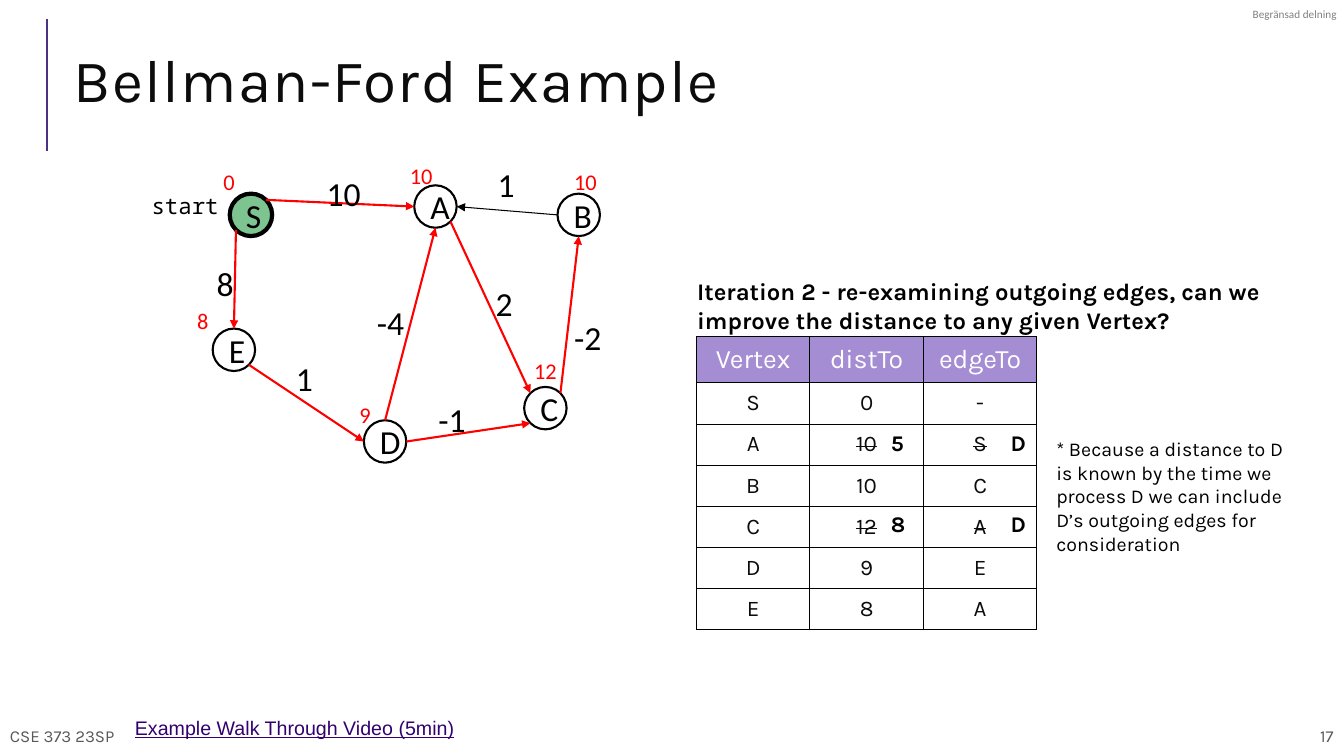
from math import cos, radians, sin

from lxml.etree import SubElement
from pptx import Presentation
from pptx.dml.color import RGBColor
from pptx.enum.shapes import MSO_CONNECTOR as Conn, MSO_SHAPE as Form
from pptx.enum.text import MSO_ANCHOR as Anchor, PP_ALIGN as Align
from pptx.oxml import parse_xml
from pptx.oxml.ns import nsdecls, qn
from pptx.util import Cm, Pt

BLACK = RGBColor(0x00, 0x00, 0x00)
INK = RGBColor(0x0C, 0x0C, 0x0C)
GREY = RGBColor(0x59, 0x59, 0x59)
PALE = RGBColor(0x80, 0x80, 0x80)
WHITE = RGBColor(0xFF, 0xFF, 0xFF)
RED = RGBColor(0xFF, 0x00, 0x00)
GREEN = RGBColor(0x7D, 0xC4, 0x91)
INDIGO = RGBColor(0x4C, 0x32, 0x82)
LILAC = RGBColor(0xA4, 0x8D, 0xD3)
LINK = RGBColor(0x33, 0x00, 0x6F)

WIDE = 0.25
SLIM = 0.13
NODE = 1.07

# Angles of the points on a node where edges meet it
EAST, SE, SOUTH, SW, WEST, NW, NORTH, NE = range(0, 360, 45)


class Board:
    """Holds the style and the current slide."""

    def __init__(self, deck):
        self.slide = deck.slides.add_slide(deck.slide_layouts[6])
        self.shapes = self.slide.shapes

    def label(self, frame, words, size, face="Karla", color=BLACK, align=Align.LEFT,
              anchor=Anchor.TOP, pad=(WIDE, WIDE), bold=False, under=False, extra=None):
        side, edge = map(Cm, pad)
        form = {"word_wrap": True, "vertical_anchor": anchor,
                "margin_left": side, "margin_right": side,
                "margin_top": edge, "margin_bottom": edge}
        for key, value in form.items():
            setattr(frame, key, value)
        para = frame.paragraphs[0]
        para.alignment = align
        run = para.add_run()
        run.text = words
        font = {"name": face, "size": Pt(size), "bold": bold, "underline": under}
        for key, value in font.items():
            setattr(run.font, key, value)
        run.font.color.rgb = color
        for key, value in (extra or {}).items():
            run._r.get_or_add_rPr().set(key, value)
        return para

    def text(self, x, y, w, h, words, size, **style):
        box = self.shapes.add_textbox(Cm(x), Cm(y), Cm(w), Cm(h))
        return self.label(box.text_frame, words, size, **style)

    def node(self, name, x, y, fill=None, width=1.5):
        oval = self.shapes.add_shape(Form.OVAL, Cm(x), Cm(y), Cm(NODE), Cm(NODE))
        oval.shadow.inherit = False
        if fill is None:
            oval.fill.background()
        else:
            oval.fill.solid()
            oval.fill.fore_color.rgb = fill
        oval.line.color.rgb = BLACK
        oval.line.width = Pt(width)
        self.label(oval.text_frame, name, 24, face="Calibri", align=Align.CENTER,
                   anchor=Anchor.MIDDLE, pad=(WIDE, SLIM))

    def line(self, start, end, color, width, arrow=False):
        link = self.shapes.add_connector(Conn.STRAIGHT, *map(Cm, (*start, *end)))
        link.line.color.rgb = color
        link.line.width = Pt(width)
        props = link._element.spPr
        if arrow:
            SubElement(props.find(qn("a:ln")), qn("a:tailEnd"), type="triangle")
        SubElement(props, qn("a:effectLst"))

    def grid(self, x, y, wide, tall, rows):
        count = len(rows[0])
        frame = self.shapes.add_table(len(rows), count, Cm(x), Cm(y),
                                      Cm(wide * count), Cm(sum(tall)))
        table = frame.table
        for col in table.columns:
            col.width = Cm(wide)
        for r, row in enumerate(rows):
            table.rows[r].height = Cm(tall[r])
            for c, words in enumerate(row):
                self.cell(table.cell(r, c), words, r == 0, (r, c) in STRUCK)

    def cell(self, cell, words, head, struck):
        cell.fill.solid()
        cell.fill.fore_color.rgb = LILAC if head else WHITE
        self.label(cell.text_frame, words, 19 if head else 16,
                   color=WHITE if head else INK, align=Align.CENTER,
                   extra={"strike": "sngStrike"} if struck else None)
        cell.vertical_anchor = Anchor.MIDDLE
        for side in ("left", "right", "top", "bottom"):
            setattr(cell, "margin_" + side, Cm(0.18))
        for spot, side in enumerate("LRTB"):
            edge = parse_xml(f'<a:ln{side} {nsdecls("a")} w="9525"><a:solidFill>'
                             f'<a:srgbClr val="{BLACK}"/></a:solidFill></a:ln{side}>')
            cell._tc.get_or_add_tcPr().insert(spot, edge)


NODES = {"S": (5.79, 4.88), "A": (10.44, 4.67), "E": (5.36, 8.28),
         "D": (9.17, 10.59), "B": (14.05, 4.88), "C": (13.21, 9.75)}
EDGES = [("S", SW, "E", NORTH), ("E", SE, "D", WEST), ("S", NE, "A", WEST),
         ("B", WEST, "A", EAST), ("C", NE, "B", SOUTH), ("A", SE, "C", NW),
         ("D", NORTH, "A", SOUTH), ("D", EAST, "C", SW)]
COSTS = [("10", 7.98, 4.22), ("1", 12.29, 4.01), ("2", 12.24, 6.99), ("-2", 14.22, 7.85),
         ("-1", 10.8, 9.93), ("1", 7.21, 8.89), ("8", 5.21, 6.5), ("-4", 9.25, 7.49)]
DISTS = [("10", 10.08, 3.96), ("10", 14.22, 4.11), ("9", 8.81, 9.98),
         ("8", 4.72, 7.62), ("12", 13.21, 8.86), ("0", 5.38, 4.11)]
ROWS = [("Vertex", "distTo", "edgeTo"), ("S", "0", "-"), ("A", "10", "S"),
        ("B", "10", "C"), ("C", "12", "A"), ("D", "9", "E"), ("E", "8", "A")]
STRUCK = {(2, 1), (2, 2), (4, 1), (4, 2)}
FIXES = [("5", 22.2, 10.57), ("D", 25.22, 10.57), ("8", 22.2, 12.6), ("D", 25.22, 12.6)]


def rim(name, angle):
    """Point on the outline of a node."""
    x, y = NODES[name]
    half = NODE / 2
    return (x + half + half * cos(radians(angle)), y + half + half * sin(radians(angle)))


def main():
    deck = Presentation()
    deck.slide_width, deck.slide_height = Cm(33.87), Cm(19.05)
    board = Board(deck)

    # Frame of the slide
    board.line((1.19, 3.81), (1.19, 0.48), INDIGO, 1.5)
    foot = {"color": GREY, "anchor": Anchor.MIDDLE}
    board.text(0, 18.03, 11.89, 1.02, "CSE 373 23SP", 12, **foot)
    board.text(21.97, 18.03, 11.89, 1.02, "17", 12, align=Align.RIGHT, **foot)
    board.text(31.57, 0.18, 2.29, 0.33, "Begränsad delning", 8, face="Calibri",
               color=PALE, pad=(0, 0))
    title = board.text(1.6, 0.74, 31.06, 2.82, "Bellman-Ford Example", 43, color=INK,
                       anchor=Anchor.MIDDLE, pad=(WIDE, SLIM), extra={"spc": "100"})
    title.line_spacing = 0.8

    # Distance table
    board.grid(17.55, 8.48, 2.86, [1.12] + [1.02] * 6, ROWS)

    # Graph
    board.text(3.15, 4.52, 2.69, 1.32, "start", 16, face="Noto Sans Mono",
               align=Align.RIGHT, pad=(0.33, 0.33))
    for name, (x, y) in NODES.items():
        if name == "S":
            board.node(name, x, y, GREEN, 3)
        else:
            board.node(name, x, y)
    for tail, out, head, into in EDGES:
        idle = tail == "B"
        board.line(rim(tail, out), rim(head, into), BLACK if idle else RED,
                   0.75 if idle else 1.5, arrow=True)
    tag = {"face": "Calibri", "pad": (WIDE, SLIM)}
    for words, x, y in COSTS:
        board.text(x, y, 1.7, 1.27, words, 24, **tag)
    for words, x, y in DISTS:
        board.text(x, y, 1.42, 0.94, words, 16, color=RED, **tag)

    # Iteration notes
    board.text(17.32, 6.73, 15.8, 1.96, "Iteration 2 - re-examining outgoing edges, can we "
               "improve the distance to any given Vertex?", 17, bold=True)
    for words, x, y in FIXES:
        board.text(x, y, 1.02, 1.19, words, 16, bold=True)
    board.text(26.37, 10.77, 6.58, 3.51, "* Because a distance to D is known by the time we "
               "process D we can include D’s outgoing edges for consideration", 14)
    board.text(3.15, 17.78, 10.13, 1.12, "Example Walk Through Video (5min)", 14,
               face="Arial", color=LINK, under=True)

    deck.save("out.pptx")


if __name__ == "__main__":
    main()
